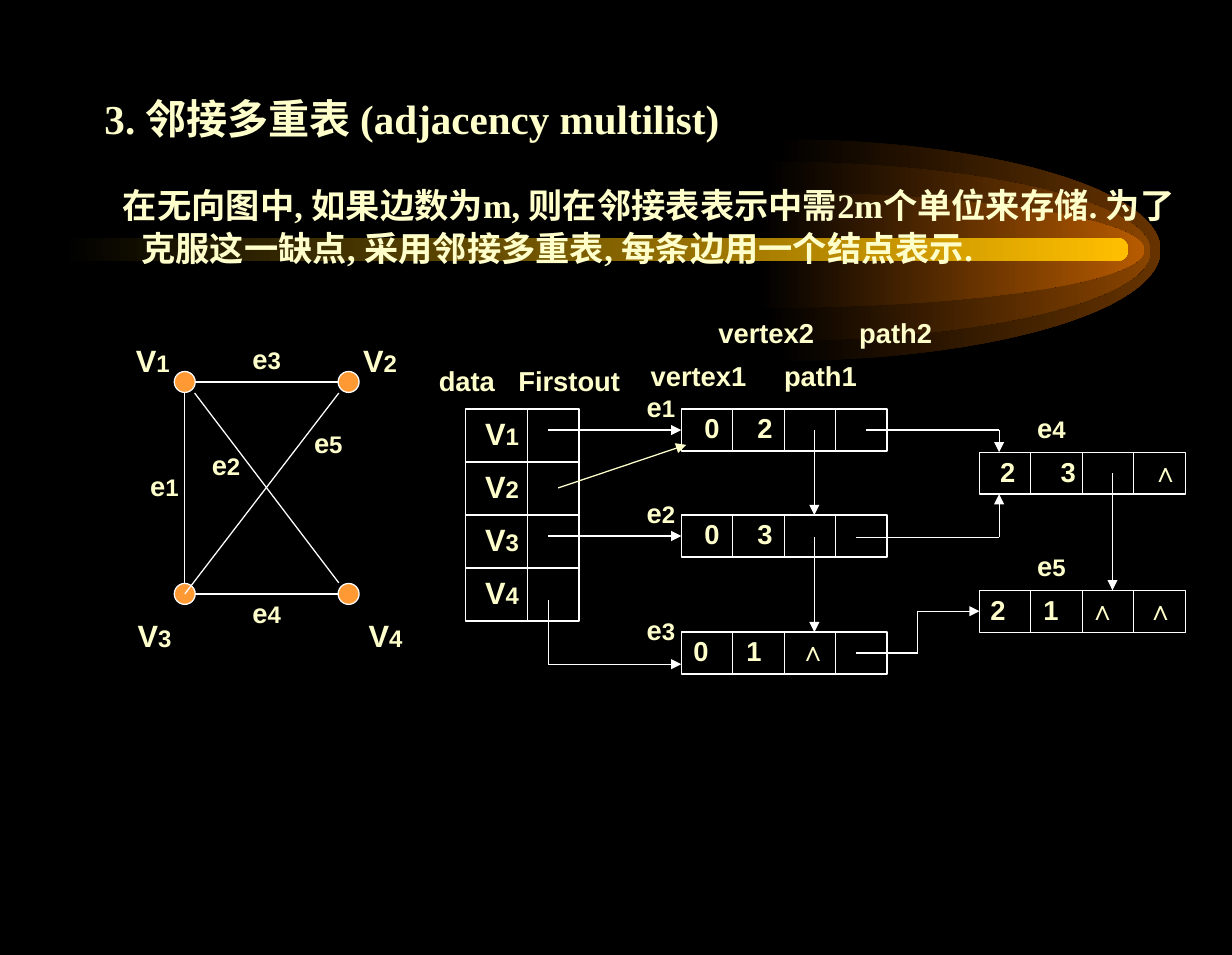
import pptx
import pptx.util
import pptx.dml.color
import pptx.enum.shapes
import pptx.enum.text
import pptx.oxml
import pptx.oxml.ns
from lxml import etree

Inches, Pt = pptx.util.Inches, pptx.util.Pt
qn = pptx.oxml.ns.qn
Preset = pptx.enum.shapes.MSO_SHAPE
Align = pptx.enum.text.PP_ALIGN
Anchor = pptx.enum.text.MSO_ANCHOR

THEME = {
    "background": "000000", "text": "FFFFCC", "line": "FFFFFF", "node": "FF9933",
    "serif": "Times New Roman", "sans": "Arial",
    "title": 24, "body": 20, "vertex": 18, "edge": 16, "subscript": 14, "stroke": 0.75,
}

TITLE = "3. 邻接多重表 (adjacency multilist)"
BODY = ("在无向图中, 如果边数为m, 则在邻接表表示中需2m个单位来存储. "
        "为了克服这一缺点, 采用邻接多重表, 每条边用一个结点表示.")

GLOWS = [(6.29, 2.03, 0.9, "663300"), (6.21, 2.04, 0.73, "894400"), (6.16, 2.03, 0.47, "B75B00")]
GLOW_WIDTH, CURVE = 3.13, 0.55
BEAM = (0.5, 1.93, 8.66, 0.19, "FFBF00")

GRAPH_X, GRAPH_Y, NODE_SIZE = (1.5, 2.83), (3.1, 4.82), 0.17
GRAPH_EDGES = [
    ((1.5, 3.19), (1.5, 4.73)), ((1.58, 4.82), (2.75, 4.82)), ((1.58, 3.1), (2.75, 3.1)),
    ((2.75, 3.19), (1.5, 4.82)), ((1.58, 3.19), (2.75, 4.73)),
]
LABELS = [
    ("V", "1", 0.95, 2.76, 0.58), ("V", "2", 2.67, 2.76, 0.83),
    ("V", "3", 0.92, 4.99, 0.67), ("V", "4", 2.67, 4.99, 0.92),
    ("e", "1", 1, 3.79, 0.67), ("e", "2", 1.5, 3.62, 0.67), ("e", "3", 1.83, 2.76, 0.67),
    ("e", "4", 1.83, 4.82, 0.67), ("e", "5", 2.33, 3.44, 0.67),
    ("e", "1", 5.03, 3.15, 0.67), ("e", "2", 5.03, 4.01, 0.67), ("e", "3", 5.03, 4.96, 0.67),
    ("e", "4", 8.2, 3.32, 0.67), ("e", "5", 8.2, 4.44, 0.67),
]

HEADINGS = [
    (3.28, 2.94, 1.92, [("data", 0.51), ("Firstout", 1.34)]),
    (4.95, 2.9, 2.33, [("vertex1", 0.72), ("path1", 1.71)]),
    (5.45, 2.55, 2.5, [("vertex2", 0.77), ("path2", 1.82)]),
]
VERTEX_TABLE = {"left": 3.78, "top": 3.32, "width": 0.92, "row": 0.43, "split": 0.5}
VERTICES = ["1", "2", "3", "4"]
RECORD_WIDTH, RECORD_HEIGHT, RECORD_FIELDS = 1.67, 0.34, 4
RECORDS = {
    "e1": (5.53, 3.32, [("0", 0.25), ("2", 0.68)]),
    "e2": (5.53, 4.18, [("0", 0.25), ("3", 0.68)]),
    "e3": (5.53, 5.13, [("0", 0.16), ("1", 0.59), ("∧", 1.07)]),
    "e5": (7.95, 4.79, [("2", 0.15), ("1", 0.58), ("∧", 1), ("∧", 1.47)]),
    "e4": (7.95, 3.67, [("2", 0.23), ("3", 0.72), ("∧", 1.51)]),
}
LINKS = [
    ([(4.45, 3.49), (5.53, 3.49)], "e1", "line"),
    ([(4.45, 4.35), (5.53, 4.35)], "e2", "line"),
    ([(4.45, 4.87), (4.45, 5.39), (5.53, 5.39)], None, "line"),
    ([(6.61, 3.49), (6.61, 4.18)], None, "line"),
    ([(6.61, 4.36), (6.61, 5.13)], None, "line"),
    ([(9.03, 3.84), (9.03, 4.79)], None, "line"),
    ([(7.03, 3.49), (8.11, 3.49), (8.11, 3.67)], None, "line"),
    ([(6.95, 4.36), (8.11, 4.36), (8.11, 4.01)], None, "line"),
    ([(6.95, 5.3), (7.45, 5.3), (7.45, 4.96), (7.95, 4.96)], "e5", "line"),
    ([(4.53, 3.96), (5.57, 3.61)], None, "text"),
]

deck = pptx.Presentation()
deck.slide_width, deck.slide_height = Inches(10), Inches(7.75)
slide = deck.slides.add_slide(deck.slide_layouts[6])


def color(name):
    return pptx.dml.color.RGBColor.from_string(THEME.get(name, name))


def fade(shape, end):
    shape.shadow.inherit = False
    shape.line.fill.background()
    shape.fill.gradient()
    shape.fill.gradient_angle = 0
    for stop, shade, position in zip(shape.fill.gradient_stops, ("background", end), (0, 1)):
        stop.color.rgb = color(shade)
        stop.position = position


def half_ellipse(left, middle, radius):
    corners = [(left, middle - radius), (left + GLOW_WIDTH, middle),
               (left, middle + radius), (left, middle)]
    points = [tuple(map(Inches, corner)) for corner in corners]
    outline = slide.shapes.build_freeform(*points[0])
    outline.add_line_segments(points[1:], close=True)
    shape = outline.convert_to_shape()
    reach, rise = CURVE * GLOW_WIDTH, CURVE * radius
    curves = [
        [(reach, 0), (GLOW_WIDTH, radius - rise), (GLOW_WIDTH, radius)],
        [(GLOW_WIDTH, radius + rise), (reach, 2 * radius), (0, 2 * radius)],
    ]
    segments = list(shape._element.iter(qn("a:lnTo")))
    for segment, curve in zip(segments, curves):
        bend = etree.Element(qn("a:cubicBezTo"))
        for x, y in curve:
            etree.SubElement(bend, qn("a:pt"), x=str(Inches(x)), y=str(Inches(y)))
        segment.getparent().replace(segment, bend)
    return shape


def outlined(preset, left, top, width, height, fill=None):
    shape = slide.shapes.add_shape(preset, *map(Inches, (left, top, width, height)))
    shape.shadow.inherit = False
    if fill:
        shape.fill.solid()
        shape.fill.fore_color.rgb = color(fill)
    else:
        shape.fill.background()
    shape.line.color.rgb = color("line")
    shape.line.width = Pt(THEME["stroke"])
    return shape


def text_box(left, top, width, height):
    box = slide.shapes.add_textbox(*map(Inches, (left, top, width, height)))
    box.text_frame.word_wrap = True
    return box.text_frame


def style(paragraph, size, face="sans"):
    paragraph.font.name = THEME[face]
    paragraph.font.bold = True
    paragraph.font.color.rgb = color("text")
    if size:
        paragraph.font.size = Pt(THEME[size])


def write_subscripted(frame, letter, subscript):
    paragraph = frame.paragraphs[0]
    paragraph.alignment = Align.CENTER
    paragraph.line_spacing = 0.9
    for words, size in ((letter, "vertex" if letter == "V" else "edge"), (subscript, "subscript")):
        run = paragraph.add_run()
        run.text = words
        run.font.size = Pt(THEME[size])
    style(paragraph, None)


def write_columns(frame, columns):
    frame.word_wrap = True
    frame.margin_left = frame.margin_right = 0
    paragraph = frame.paragraphs[0]
    paragraph.text = "".join("\t" + words for words, _ in columns)
    paragraph.alignment = Align.LEFT
    paragraph.line_spacing = 0.9
    tabs = etree.SubElement(paragraph._p.get_or_add_pPr(), qn("a:tabLst"))
    for _, center in columns:
        etree.SubElement(tabs, qn("a:tab"), pos=str(Inches(center)), algn="ctr")
    style(paragraph, "edge")


def connect(start, end, shade="line", arrow=False, target=None):
    connector = slide.shapes.add_connector(
        pptx.enum.shapes.MSO_CONNECTOR.STRAIGHT, *map(Inches, (*start, *end)))
    connector.line.color.rgb = color(shade)
    connector.line.width = Pt(THEME["stroke"])
    properties = connector._element.spPr
    if arrow:
        etree.SubElement(properties.find(qn("a:ln")), qn("a:tailEnd"), type="triangle")
    etree.SubElement(properties, qn("a:effectLst"))
    if target is not None:
        connector.end_connect(target, 1)


slide.background.fill.solid()
slide.background.fill.fore_color.rgb = color("background")

for left, middle, radius, shade in GLOWS:
    fade(half_ellipse(left, middle, radius), shade)
beam = slide.shapes.add_shape(Preset.ROUNDED_RECTANGLE, *map(Inches, BEAM[:4]))
beam.adjustments[0] = 0.5
fade(beam, BEAM[4])

title = text_box(0.75, 0.44, 8.5, 0.77)
title.vertical_anchor = Anchor.BOTTOM
title.text = TITLE
style(title.paragraphs[0], "title", "serif")

body = text_box(0.67, 1.43, 9, 5.89)
body.text = BODY
body.paragraphs[0].line_spacing = 1.05
body_properties = body.paragraphs[0]._p.get_or_add_pPr()
body_properties.set("marL", str(Inches(0.38)))
body_properties.set("indent", str(Inches(-0.15)))
style(body.paragraphs[0], "body", "serif")

for y in GRAPH_Y:
    for x in GRAPH_X:
        outlined(Preset.OVAL, x - NODE_SIZE / 2, y - NODE_SIZE / 2, NODE_SIZE, NODE_SIZE, "node")
for start, end in GRAPH_EDGES:
    connect(start, end)

table = VERTEX_TABLE
for row, number in enumerate(VERTICES):
    cell = outlined(Preset.FLOWCHART_PROCESS, table["left"], table["top"] + row * table["row"],
                    table["width"], table["row"]).text_frame
    cell.margin_left, cell.margin_right = 0, Inches(0.33)
    cell.vertical_anchor = Anchor.MIDDLE
    write_subscripted(cell, "V", number)
split = table["left"] + table["split"]
connect((split, table["top"]), (split, table["top"] + len(VERTICES) * table["row"]))

records = {}
for edge, (left, top, values) in RECORDS.items():
    record = outlined(Preset.FLOWCHART_PROCESS, left, top, RECORD_WIDTH, RECORD_HEIGHT)
    record.text_frame.vertical_anchor = Anchor.MIDDLE
    write_columns(record.text_frame, values)
    records[edge] = record
    for field in range(1, RECORD_FIELDS):
        x = left + field * RECORD_WIDTH / RECORD_FIELDS
        connect((x, top), (x, top + RECORD_HEIGHT))

for points, target, shade in LINKS:
    for start, end in zip(points, points[1:]):
        last = end == points[-1]
        connect(start, end, shade, last, records.get(target) if last else None)

for left, top, width, columns in HEADINGS:
    write_columns(text_box(left, top, width, 0.34), columns)
for letter, subscript, left, top, width in LABELS:
    write_subscripted(text_box(left, top, width, 0.37 if letter == "V" else 0.34), letter, subscript)

deck.save("out.pptx")
